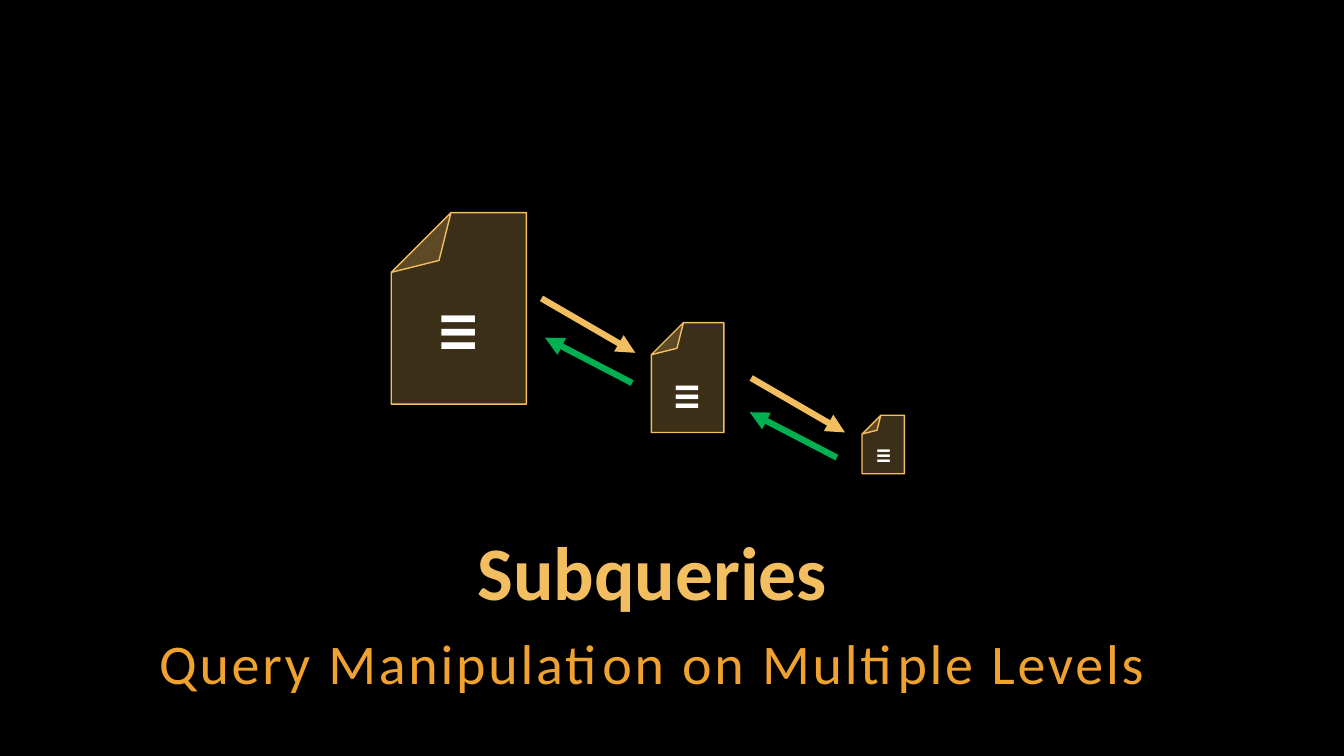
"""Build the Subqueries title slide with nested query pages."""
from dataclasses import dataclass

from lxml import etree
from pptx import Presentation
from pptx.dml.color import RGBColor
from pptx.enum.shapes import MSO_CONNECTOR, MSO_SHAPE
from pptx.enum.text import MSO_ANCHOR, PP_ALIGN
from pptx.oxml.ns import qn
from pptx.util import Inches, Pt

FOLD = MSO_SHAPE.FOLDED_CORNER
LINE = MSO_CONNECTOR.STRAIGHT
MID = PP_ALIGN.CENTER
TOP, LOW = MSO_ANCHOR.TOP, MSO_ANCHOR.BOTTOM


@dataclass(frozen=True)
class Theme:
    """Colours, fonts and type sizes."""
    back: str = "000000"
    gold: str = "F3BE60"
    amber: str = "F0A230"
    green: str = "00B050"
    white: str = "FFFFFF"
    sans: str = "Calibri"
    mono: str = "Courier New"
    head: int = 54
    sub: int = 40
    icons: tuple = (48, 32, 18)


T = Theme()
WIDE, HIGH = Inches(13.33), Inches(7.5)

TITLE = "Subqueries"
SUB = "Query Manipulation on Multiple Levels"
ICON = "☰"

TITLE_BOX = (11.85, 70.13, 73.37, 12)
SUB_BOX = (4.58, 82.13, 87.92, 10.53)
PAGES = [
    ((29.11, 28.13, 10.05, 25.33), (26.03, 36.67, 16.13, 12.13)),
    ((48.46, 42.67, 5.4, 14.53), (46.81, 47.47, 8.63, 7.47)),
    ((64.14, 54.93, 3.15, 7.73), (63.24, 57.2, 5.03, 5.33)),
]
ARROWS = [
    (T.gold, (6.98, 7.2), [(40.29, 39.47), (55.89, 50)]),
    (T.green, (-6.49, -6), [(47.04, 50.67), (62.27, 60.53)]),
]


def place(*shares):
    """Turn alternating width and height percentages into lengths."""
    return [round(s * (HIGH if i % 2 else WIDE) / 100)
            for i, s in enumerate(shares)]


def tint(part, color):
    """Give a fill or line one solid colour."""
    part.fill.solid()
    part.fill.fore_color.rgb = RGBColor.from_string(color)


def write(slide, box, text, font, size, color, bold=False, pad=None,
          anchor=TOP):
    """Add one centred line of text and return its paragraph."""
    frame = slide.shapes.add_textbox(*place(*box)).text_frame
    frame.word_wrap = True
    frame.vertical_anchor = anchor
    if pad is not None:
        frame.margin_left = frame.margin_right = pad
        frame.margin_top = frame.margin_bottom = pad
    frame.text = text
    para = frame.paragraphs[0]
    para.alignment = MID
    face = para.runs[0].font
    face.name, face.size, face.bold = font, Pt(size), bold
    face.color.rgb = RGBColor.from_string(color)
    return para


def add_page(slide, box, icon, size):
    """Draw a sheet with a folded corner and its icon."""
    page = slide.shapes.add_shape(FOLD, *place(*box))
    page.rotation = 180
    page.shadow.inherit = False
    tint(page, T.gold)
    props = page._element.spPr
    guides = props.find(qn("a:prstGeom")).get_or_add_avLst()
    etree.SubElement(guides, qn("a:gd"), name="adj", fmla="val 44200")
    hue = props.find(qn("a:solidFill")).find(qn("a:srgbClr"))
    etree.SubElement(hue, qn("a:alpha"), val="25000")
    tint(page.line, T.gold)
    page.line.width = Pt(1)
    write(slide, icon, ICON, T.mono, size, T.white, bold=True)


def add_arrow(slide, start, step, color):
    """Draw an arrow from a start point along a step."""
    end = [a + b for a, b in zip(start, step)]
    arrow = slide.shapes.add_connector(LINE, *place(*start, *end))
    tint(arrow.line, color)
    arrow.line.width = Pt(4.5)
    props = arrow._element.spPr
    etree.SubElement(props.find(qn("a:ln")), qn("a:tailEnd"),
                     type="triangle")
    etree.SubElement(props, qn("a:effectLst"))


def main():
    """Compose the slide and save it."""
    deck = Presentation()
    deck.slide_width, deck.slide_height = WIDE, HIGH
    slide = deck.slides.add_slide(deck.slide_layouts[6])
    tint(slide.background, T.back)

    pad = Inches(0.04)
    head = write(slide, TITLE_BOX, TITLE, T.sans, T.head, T.gold,
                 bold=True, pad=pad, anchor=LOW)
    head.line_spacing = 0.9
    sub = write(slide, SUB_BOX, SUB, T.sans, T.sub, T.amber, pad=pad)
    sub.line_spacing = 1.05
    sub.space_after = Pt(6)
    sub.runs[0].font._element.set("spc", "200")

    for (box, icon), size in zip(PAGES, T.icons):
        add_page(slide, box, icon, size)
    for color, step, starts in ARROWS:
        for start in starts:
            add_arrow(slide, start, step, color)
    deck.save("out.pptx")


if __name__ == "__main__":
    main()
